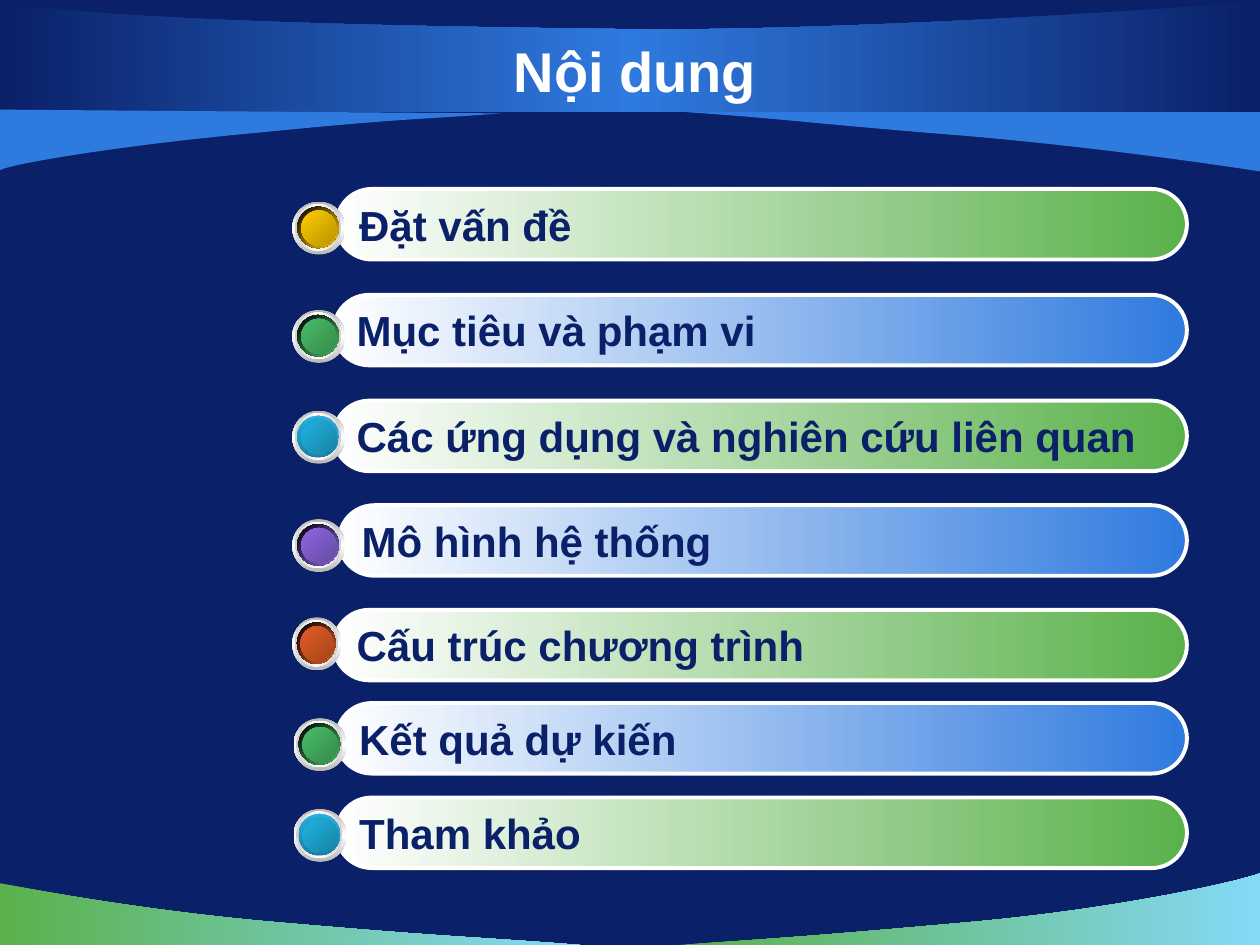
from copy import deepcopy

from lxml import etree
from pptx import Presentation
from pptx.dml.color import RGBColor
from pptx.enum.shapes import MSO_SHAPE
from pptx.enum.text import MSO_ANCHOR, PP_ALIGN
from pptx.oxml.ns import qn
from pptx.util import Inches, Pt

COLORS = {
    "navy": "0A2068", "blue": "2F7ADF", "green": "5AB14B", "sky": "85D9F7",
    "white": "FFFFFF", "black": "000000", "steel": "B6B6B6", "silver": "D1D1D1",
    "violet": "8A52C8", "plum": "6A3F99",
    "gold": "FFCC00", "gold_dark": "BA9500",
    "leaf": "48BE67", "leaf_dark": "358B4B",
    "cyan": "21B3E1", "cyan_dark": "1883A4", "cyan_rim": "1880A1",
    "lilac": "8D67E1", "lilac_dark": "674BA4",
    "rust": "E35E23", "rust_dark": "A6451A",
}

WAVES = [
    (["green", "sky"], (4.6, 7.5),
     [((3.84, 7.44), (3.58, 7.44), (2.32, 7.33)),
      ((1.06, 7.23), (0.01, 7.01), (0, 7.01))],
     [(0, 7.5)]),
    (["green", "sky"], (5.39, 7.5),
     [((6.14, 7.45), (6.46, 7.43), (7.69, 7.32)),
      ((8.92, 7.21), (9.9, 6.98), (10, 6.93))],
     [(10, 7.5)]),
    (["blue"], (5.44, 0.89),
     [((6.2, 0.94), (6.42, 0.98), (7.68, 1.08)),
      ((8.94, 1.19), (9.99, 1.36), (10, 1.36))],
     [(10, 0.88)]),
    (["navy", "blue", "navy"], (10, 0),
     [((9.64, 0.06), (6.53, 0.26), (4.87, 0.23)),
      ((3.21, 0.21), (1.01, 0.17), (0, 0.02))],
     [(0, 0.89), (10, 0.89)]),
    (["blue"], (3.98, 0.9),
     [((3.31, 0.95), (3.18, 0.94), (2.08, 1.05)),
      ((0.97, 1.15), (0.09, 1.3), (0, 1.35))],
     [(0, 0.87)]),
]

TOPICS = [
    ("Đặt vấn đề", 2.67, 1.5, "green", "gold", 2.32, 1.6),
    ("Mục tiêu và phạm vi", 2.65, 2.34, "blue", "leaf", 2.32, 2.46),
    ("Các ứng dụng và nghiên cứu liên quan", 2.65, 3.18, "green",
     "cyan", 2.32, 3.26),
    ("Mô hình hệ thống", 2.69, 4.01, "blue", "lilac", 2.32, 4.12),
    ("Cấu trúc chương trình", 2.65, 4.84, "green", "rust", 2.32, 4.9),
    ("Kết quả dự kiến", 2.67, 5.58, "blue", "leaf", 2.33, 5.7),
    ("Tham khảo", 2.67, 6.33, "green", "cyan", 2.33, 6.42),
]
PILL_RIGHT = 9.42
ORB_SIZE = 0.42


def rgb(name):
    return RGBColor.from_string(COLORS[name])


def paint(shape, names, angle=0):
    shape.shadow.inherit = False
    if len(names) == 1:
        shape.fill.solid()
        shape.fill.fore_color.rgb = rgb(names[0])
        return
    shape.fill.gradient()
    shape.fill.gradient_angle = -angle % 360
    stop_list = shape._element.spPr.find(qn("a:gradFill")).find(qn("a:gsLst"))
    while len(stop_list) < len(names):
        stop_list.append(deepcopy(stop_list[0]))
    for index, (stop, name) in enumerate(zip(shape.fill.gradient_stops, names)):
        stop.position = index / (len(names) - 1)
        stop.color.rgb = rgb(name)


def write(shape, text, size, color, align=PP_ALIGN.LEFT, wrap=False):
    frame = shape.text_frame
    frame.word_wrap = wrap
    frame.vertical_anchor = MSO_ANCHOR.MIDDLE
    paragraph = frame.paragraphs[0]
    paragraph.alignment = align
    run = paragraph.add_run()
    run.text = text
    run.font.name = "Arial"
    run.font.size = Pt(size)
    run.font.bold = True
    run.font.color.rgb = rgb(color)


def bend(wave, curves):
    segments = list(wave._element.iter(qn("a:lnTo")))
    for segment, curve in zip(segments, curves):
        bezier = etree.Element(qn("a:cubicBezTo"))
        for x, y in curve:
            etree.SubElement(bezier, qn("a:pt"), x=str(Inches(x) - wave.left),
                             y=str(Inches(y) - wave.top))
        segment.getparent().replace(segment, bezier)


def add_wave(slide, names, start, curves, corners):
    anchors = [start] + [curve[-1] for curve in curves] + corners
    outline = [(Inches(x), Inches(y)) for x, y in anchors]
    builder = slide.shapes.build_freeform(*outline[0])
    builder.add_line_segments(outline[1:], close=True)
    wave = builder.convert_to_shape()
    bend(wave, curves)
    paint(wave, names)
    wave.line.fill.background()


def add_pill(slide, text, left, top, end_color):
    pill = slide.shapes.add_shape(
        MSO_SHAPE.ROUNDED_RECTANGLE, Inches(left), Inches(top),
        Inches(PILL_RIGHT - left), Inches(0.56))
    pill.adjustments[0] = 0.5
    paint(pill, ["white", end_color])
    pill.line.color.rgb = rgb("white")
    pill.line.width = Pt(2.25)
    write(pill, text, 24, "navy")


def add_orb(slide, color, left, top):
    rim = (["cyan", "cyan_rim"], 90) if color == "cyan" else (["black", color], 45)
    layers = [
        (0, ORB_SIZE, ["steel", "white", "steel"], 90),
        (0.02, 0.37, ["silver", "white", "silver"], 0),
        (0.04, 0.33, ["white", "violet", "white"], 45),
        (0.04, 0.33, *rim),
        (0.07, 0.28, ["plum", "violet", "plum"], 315),
        (0.07, 0.28, [color, color + "_dark"], 45),
    ]
    squeeze = 0.39 / ORB_SIZE if color == "rust" else 1
    orb = slide.shapes.add_group_shape()
    for inset, size, names, angle in layers:
        disc = orb.shapes.add_shape(
            MSO_SHAPE.OVAL, Inches(left + inset * squeeze), Inches(top + inset),
            Inches(size * squeeze), Inches(size))
        paint(disc, names, angle)
        disc.line.fill.background()


def main():
    deck = Presentation()
    deck.slide_width, deck.slide_height = Inches(10), Inches(7.5)
    slide = deck.slides.add_slide(deck.slide_layouts[6])
    slide.background.fill.solid()
    slide.background.fill.fore_color.rgb = rgb("navy")

    for wave in WAVES:
        add_wave(slide, *wave)

    title = slide.shapes.add_textbox(
        Inches(0.5), Inches(0.25), Inches(9.08), Inches(0.62))
    write(title, "Nội dung", 32, "white", align=PP_ALIGN.CENTER, wrap=True)

    for section in (TOPICS[:5], TOPICS[5:6], TOPICS[6:]):
        for topic in reversed(section):
            add_pill(slide, *topic[:4])
        for topic in section:
            add_orb(slide, *topic[4:])

    deck.save("out.pptx")


if __name__ == "__main__":
    main()
